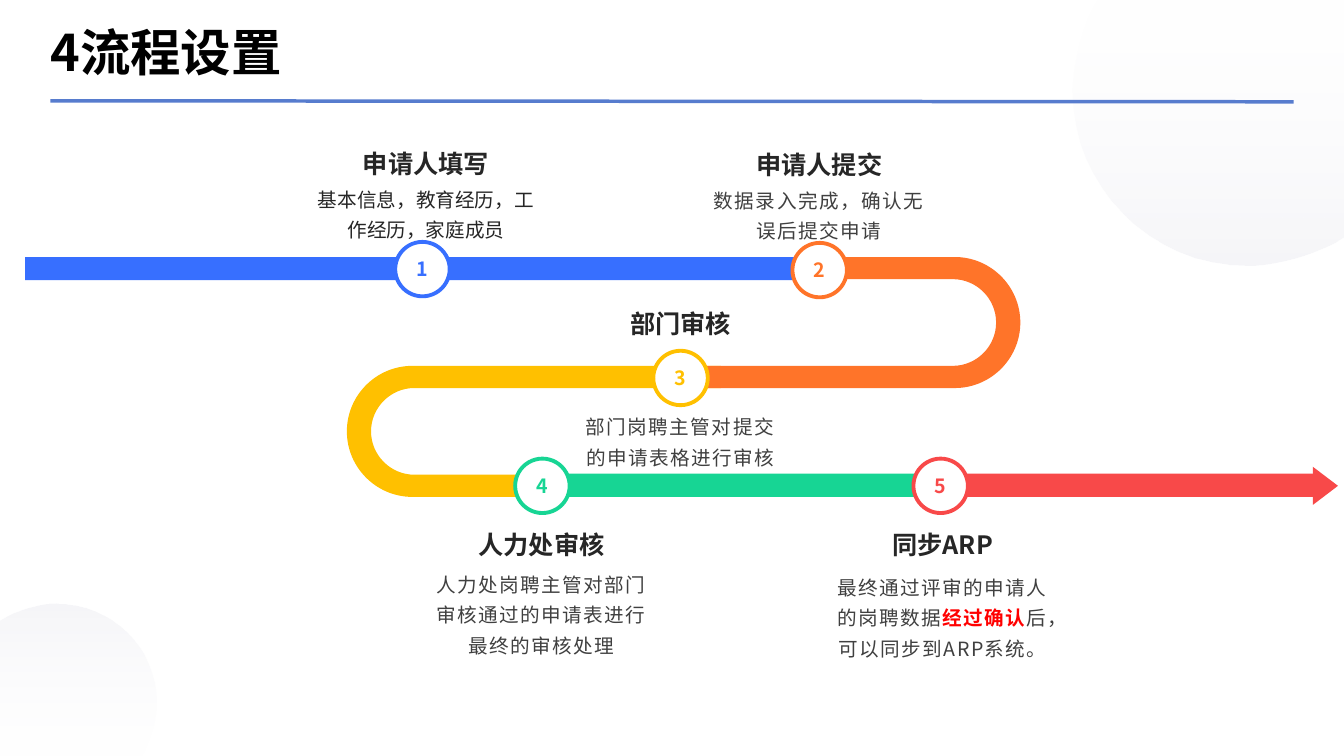
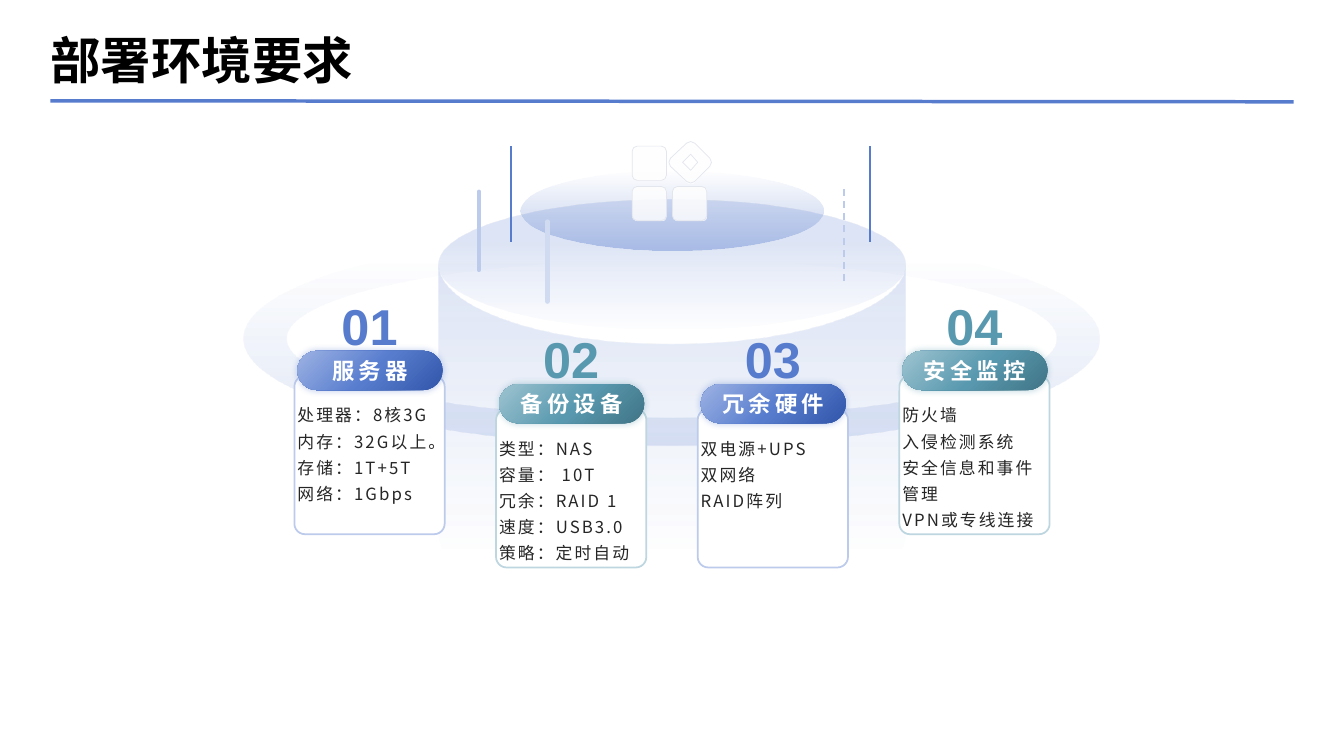
"""Build two slides: an approval process flow and the deployment requirements."""
from dataclasses import dataclass

from lxml import etree
from pptx import Presentation
from pptx import util as u
from pptx.dml.color import RGBColor
from pptx.enum import dml, shapes, text
from pptx.oxml.ns import qn


@dataclass(frozen=True)
class Theme:
    font: str = "Noto Sans CJK SC"
    number_font: str = "Arial"
    title: int = 36
    heading: int = 18
    pill: int = 16
    body: int = 14
    small: int = 12
    black: str = "000000"
    ink: str = "262626"
    grey: str = "404040"
    white: str = "FFFFFF"
    alert: str = "FF0000"
    haze: str = "D8D8E4"
    edge: str = "E4E6EE"
    accent: str = "577CCE"
    accent_pale: str = "BCCAEB"
    accent_faint: str = "D0DAF1"
    blue: str = "376FFF"
    orange: str = "FF7429"
    yellow: str = "FFC000"
    green: str = "17D594"
    red: str = "F84949"


T = Theme()
PX = 9144
BEND = 0.55
K = shapes.MSO_SHAPE
CENTER, MIDDLE = text.PP_ALIGN.CENTER, text.MSO_ANCHOR.MIDDLE


def draw(s, kind, where, fill, line=None, width=1):
    """Add a preset in a box, or contours whose (x, y, corner x, corner y) points end an arc."""
    if kind is None:
        contours = [[tuple(v * PX for v in pt) for pt in c] for c in where]
        fb = s.shapes.build_freeform(*contours[0][0])
        for i, c in enumerate(contours):
            if i:
                fb.move_to(*c[0])
            fb.add_line_segments([pt[:2] for pt in c[1:]])
        sp = fb.convert_to_shape()
        segments = list(sp._element.iter(qn("a:lnTo")))
        steps = [pair for c in contours for pair in zip(c, c[1:])]
        for seg, (start, end) in zip(segments, steps):
            if len(end) == 4:
                corner = end[2:]
                seg.tag = qn("a:cubicBezTo")
                for k, base in enumerate((start, end)):
                    x, y = [a + BEND * (b - a) for a, b in zip(base, corner)]
                    pt = etree.Element(qn("a:pt"), x=str(round(x - sp.left)), y=str(round(y - sp.top)))
                    seg.insert(k, pt)
    else:
        sp = s.shapes.add_shape(kind, *[v * PX for v in where])
    sp.shadow.inherit = False
    if isinstance(fill, str):
        sp.fill.solid()
        sp.fill.fore_color.rgb = RGBColor.from_string(fill)
    else:
        angle, stops = fill
        sp.fill.gradient()
        sp.fill.gradient_angle = 360 - angle
        gs_list = sp._element.spPr.find(".//" + qn("a:gsLst"))
        for gs in list(gs_list):
            gs_list.remove(gs)
        for pos, rgb, alpha in stops:
            gs = etree.SubElement(gs_list, qn("a:gs"), pos=str(pos * 1000))
            clr = etree.SubElement(gs, qn("a:srgbClr"), val=rgb)
            etree.SubElement(clr, qn("a:alpha"), val=str(alpha * 1000))
    if line:
        sp.line.color.rgb = RGBColor.from_string(line)
        sp.line.width = u.Pt(width)
    else:
        sp.line.fill.background()
    return sp


def write(sp, lines, size, rgb, bold=False, align=None, anchor=text.MSO_ANCHOR.TOP,
          spc=0, leading=None, font=T.font, wrap=True):
    """Fill a shape with paragraphs; text between bars is highlighted."""
    tf = sp.text_frame
    tf.word_wrap = wrap
    tf.vertical_anchor = anchor
    tf.margin_left = tf.margin_right = tf.margin_top = tf.margin_bottom = 0
    for i, content in enumerate(lines):
        p = tf.paragraphs[0] if i == 0 else tf.add_paragraph()
        p.alignment = align
        p.line_spacing = leading
        p.font.name = font
        p.font.size = u.Pt(size)
        p.font.bold = bold
        p.font.color.rgb = RGBColor.from_string(rgb)
        props = p._p.pPr.find(qn("a:defRPr"))
        props.set("spc", str(int(spc * 100)))
        etree.SubElement(props, qn("a:ea"), typeface=font)
        for j, part in enumerate(content.split("|")):
            r = p.add_run()
            r.text = part
            if j % 2:
                r.font.bold = True
                r.font.color.rgb = RGBColor.from_string(T.alert)


prs = Presentation()
prs.slide_width, prs.slide_height = u.Inches(13.33), u.Inches(7.5)
flow, deploy = [prs.slides.add_slide(prs.slide_layouts[6]) for _ in range(2)]

top_disc = [(1089, 0), (1333, 0), (1333, 234), (1237, 263, 1289, 263),
            (1064, 90, 1064, 263), (1089, 0, 1064, 41)]
bottom_disc = [(139, 750), (0, 750), (0, 616), (55, 599, 25, 599),
               (155, 697, 155, 599), (139, 750, 155, 725)]
for disc, angle in [(top_disc, 90), (bottom_disc, 270)]:
    draw(flow, None, [disc], (angle, [(0, T.white, 10), (100, T.haze, 24)]))

draw(deploy, K.OVAL, (435, 198, 463, 129), (90, [(32, T.accent, 20), (100, T.accent, 0)]))
draw(deploy, K.OVAL, (516, 169, 301, 80), (270, [(0, T.accent, 40), (100, T.accent, 0)]))
drum = [(435, 262), (666, 342, 435, 342), (898, 262, 898, 342),
        (898, 530), (666, 610, 898, 610), (435, 530, 435, 610)]
draw(deploy, None, [drum], (270, [(18, T.accent, 0), (100, T.accent, 20)]))

glass = (90, [(0, T.white, 100), (100, T.white, 80)])
tiles = []
for x, y in [(627, 145), (627, 185), (667, 185)]:
    r, b = x + 34, y + 34
    tiles.append([(x + 5, y), (r - 5, y), (r, y + 5, r, y), (r, b - 5), (r - 5, b, r, b),
                  (x + 5, b), (x, b - 5, x, b), (x, y + 5), (x + 5, y, x, y)])
draw(deploy, None, tiles, glass, T.edge, 0.5)
diamond = [(689, 142), (704, 157), (704, 165, 708, 161), (689, 180), (681, 180, 685, 184),
           (665, 165), (665, 157, 661, 161), (681, 142), (689, 142, 685, 138)]
hole = [(685, 153), (677, 161), (685, 169), (692, 161)]
draw(deploy, None, [diamond, hole], glass, T.edge, 0.5)

cx, cy, ring = 666, 336, []
for a, b in [(424, 106), (-381, 78)]:
    ring.append([(cx + a, cy), (cx, cy + b, cx + a, cy + b), (cx - a, cy, cx - a, cy + b),
                 (cx, cy - b, cx - a, cy - b), (cx + a, cy, cx + a, cy - b)])
draw(deploy, None, ring, (90, [(14, T.accent, 0), (100, T.accent, 18)]))

for s, x1, y1, x2, y2, rgb, width, dash, cap in [
    (flow, 50, 100, 1283, 101, T.accent, 2.5, False, "flat"),
    (deploy, 50, 100, 1283, 101, T.accent, 2.5, False, "flat"),
    (deploy, 507, 240, 507, 145, T.accent, 1, False, "flat"),
    (deploy, 475, 268, 475, 190, T.accent_pale, 2.75, False, "rnd"),
    (deploy, 863, 240, 863, 145, T.accent, 1.5, False, "flat"),
    (deploy, 837, 279, 837, 183, T.accent_pale, 1.25, True, "flat"),
    (deploy, 543, 299, 543, 220, T.accent_faint, 3.5, False, "rnd"),
]:
    c = s.shapes.add_connector(shapes.MSO_CONNECTOR.STRAIGHT, x1 * PX, y1 * PX, x2 * PX, y2 * PX)
    c.line.color.rgb = RGBColor.from_string(rgb)
    c.line.width = u.Pt(width)
    c._element.spPr.find(qn("a:ln")).set("cap", cap)
    if dash:
        c.line.dash_style = dml.MSO_LINE.DASH
    etree.SubElement(c._element.spPr, qn("a:effectLst"))

for s, y, title in [(flow, 17, "4流程设置"), (deploy, 25, "部署环境要求")]:
    sp = s.shapes.add_textbox(50 * PX, y * PX, 1233 * PX, 67 * PX)
    write(sp, [title], T.title, T.black, bold=True, anchor=MIDDLE)

for rgb, side, cx, cy, top_end, bottom_end in [
    (T.yellow, -1, 409, 428, 715, 688),
    (T.orange, 1, 947, 320, 686, 669),
]:
    inner_x = cx - 2 * side
    outer_edge, inner_edge = cx + 65 * side, inner_x + 43 * side
    band = [(top_end, cy - 65), (cx, cy - 65),
            (outer_edge, cy, outer_edge, cy - 65), (cx, cy + 65, outer_edge, cy + 65),
            (bottom_end, cy + 65), (bottom_end, cy + 43), (inner_x, cy + 43),
            (inner_edge, cy, inner_edge, cy + 43), (inner_x, cy - 43, inner_edge, cy - 43),
            (top_end, cy - 43)]
    draw(flow, None, [band], rgb)

for rgb, x, y, w in [(T.red, 947, 470, 358), (T.green, 564, 470, 395), (T.blue, 25, 255, 788)]:
    draw(flow, K.RECTANGLE, (x, y, w, 23), rgb)
draw(flow, None, [[(1302, 463), (1327, 482), (1302, 501)]], T.red)

steps = [
    (T.blue, (392, 240), (308, 132, 229, 45), "申请人填写", (179, 60),
     "基本信息，教育经历，工作经历，家庭成员", T.ink, 0),
    (T.orange, (786, 241), (698, 133, 229, 45), "申请人提交", (180, 60),
     "数据录入完成，确认无误后提交申请", T.grey, 1),
    (T.yellow, (648, 348), (575, 278, 200, 58), "部门审核", (405, 60),
     "部门岗聘主管对提交的申请表格进行审核", T.grey, 1),
    (T.green, (511, 455), (425, 510, 224, 45), "人力处审核", (561, 97),
     "人力处岗聘主管对部门审核通过的申请表进行最终的审核处理", T.grey, 1),
    (T.red, (906, 455), (823, 510, 224, 45), "同步ARP", (564, 98),
     "最终通过评审的申请人的岗聘数据|经过确认|后，可以同步到ARP系统。", T.grey, 1),
]
for n, (rgb, spot, box, heading, (y, h), detail, ink, spc) in enumerate(steps, 1):
    sp = draw(flow, K.OVAL, (*spot, 54, 54), T.white, rgb, 2.75)
    write(sp, [str(n)], T.body, rgb, bold=True, align=CENTER, anchor=MIDDLE, wrap=False)
    sp = flow.shapes.add_textbox(*[v * PX for v in box])
    write(sp, [heading], T.heading, T.ink, bold=True, align=CENTER, anchor=text.MSO_ANCHOR.BOTTOM)
    sp = flow.shapes.add_textbox(box[0] * PX, y * PX, box[2] * PX, h * PX)
    write(sp, [detail], T.body, ink, align=CENTER, spc=spc, leading=1.3)

palettes = [("3257AA", T.accent, "9AB0E2", T.accent_pale), ("407486", "5999AF", "9BC2CF", "BDD6DF")]
cards = [
    (373, 107, "服务器", ["处理器：8核3G", "内存：32G以上。", "存储：1T+5T", "网络：1Gbps"]),
    (406, 107, "备份设备", ["类型：NAS", "容量： 10T", "冗余：RAID 1", "速度：USB3.0", "策略：定时自动"]),
    (406, 107, "冗余硬件", ["双电源+UPS", "双网络", "RAID阵列"]),
    (373, 137, "安全监控", ["防火墙", "入侵检测系统", "安全信息和事件管理", "VPN或专线连接"]),
]
for i, (y, h, name, items) in enumerate(cards):
    x = 292 + 200 * i
    dark, mid, light, border = palettes[i % 2]
    sp = draw(deploy, K.ROUNDED_RECTANGLE, (x, y, 149, 157), T.white, border, 1.25)
    sp.adjustments[0] = 0.07
    sp = deploy.shapes.add_textbox((x + 42) * PX, (y - 83) * PX, 65 * PX, 65 * PX)
    write(sp, [f"{i + 1:02}"], T.title, mid, bold=True, align=CENTER, anchor=MIDDLE,
          font=T.number_font, wrap=False)
    sp = draw(deploy, K.ROUNDED_RECTANGLE, (x + 3, y - 25, 144, 39),
              (225, [(0, dark, 100), (47, mid, 100), (98, light, 100)]))
    sp.adjustments[0] = 0.5
    glow = etree.SubElement(sp._element.spPr.find(qn("a:effectLst")), qn("a:outerShdw"),
                            blurRad=str(u.Pt(5)), dist="0", dir="0")
    clr = etree.SubElement(glow, qn("a:srgbClr"), val=mid)
    etree.SubElement(clr, qn("a:alpha"), val="40000")
    write(sp, [name], T.pill, T.white, bold=True, align=CENTER, anchor=MIDDLE, spc=3)
    sp = deploy.shapes.add_textbox((x + 3) * PX, (y + 23) * PX, 144 * PX, h * PX)
    write(sp, items, T.small, T.ink, spc=1.5, leading=1.3)

prs.save("out.pptx")
